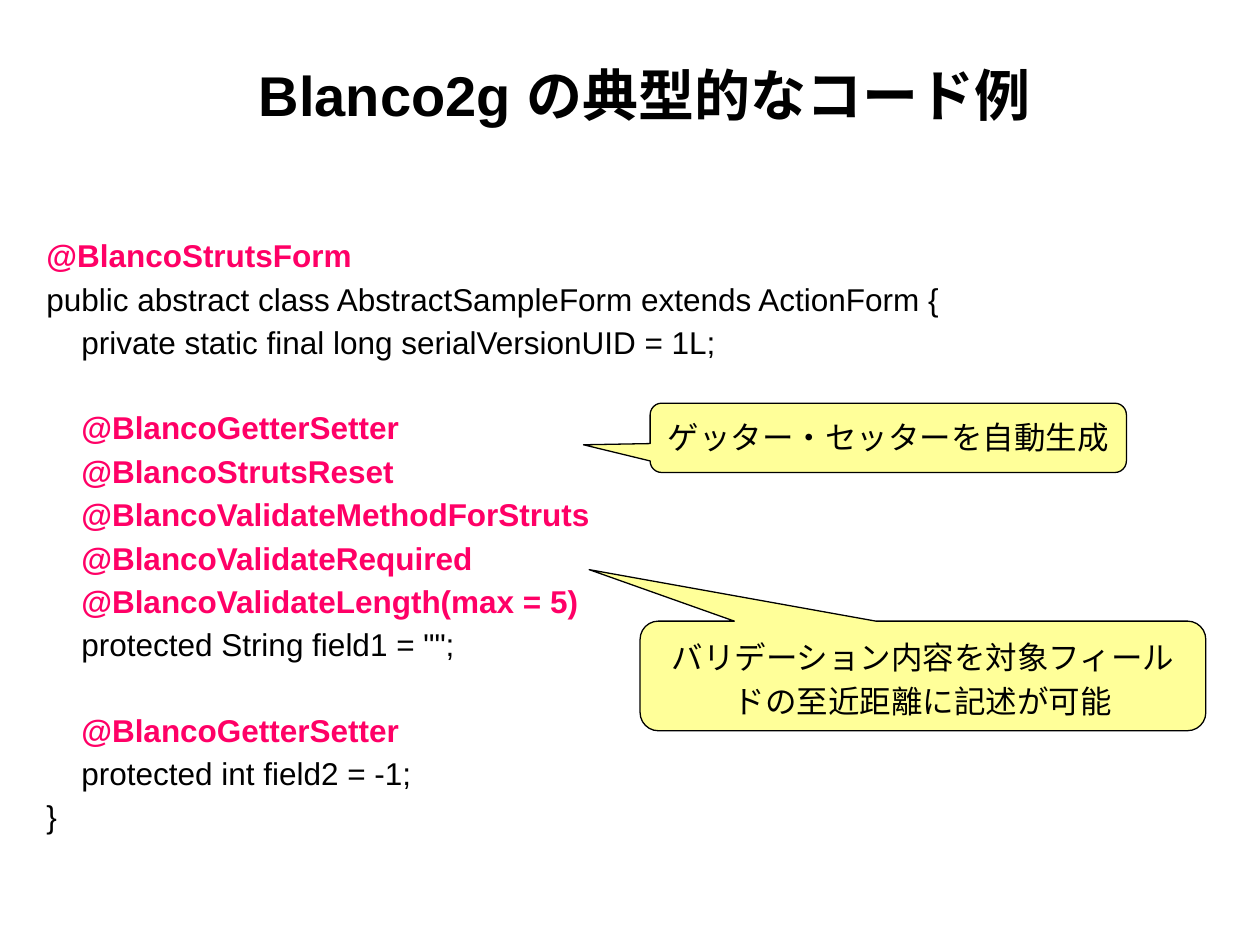
from dataclasses import dataclass

from pptx import Presentation
from pptx.dml.color import RGBColor
from pptx.enum.shapes import MSO_SHAPE as Shape
from pptx.enum.text import MSO_ANCHOR as Anchor, PP_ALIGN as Align
from pptx.util import Inches, Pt


@dataclass(frozen=True)
class Theme:
    font: str = "Arial"
    ink: str = "000000"
    mark: str = "FF0066"
    note: str = "FFFF99"
    title: int = 32
    body: int = 18
    lead: float = 1.15
    gap: float = 23.8
    edge: float = 0.75


THEME = Theme()

CODE = '''@BlancoStrutsForm
public abstract class AbstractSampleForm extends ActionForm {
    private static final long serialVersionUID = 1L;

    @BlancoGetterSetter
    @BlancoStrutsReset
    @BlancoValidateMethodForStruts
    @BlancoValidateRequired
    @BlancoValidateLength(max = 5)
    protected String field1 = "";

    @BlancoGetterSetter
    protected int field2 = -1;
}'''

NOTES = [
    ("ゲッター・セッターを自動生成", (5.16, 3.2, 3.78, 0.55), (-0.64, 0.1)),
    ("バリデーション内容を対象フィールドの至近距離に記述が可能",
     (5.08, 4.93, 4.49, 0.87), (-0.59, -0.97)),
]


def write(para, text, size=THEME.body, color=THEME.ink, bold=False,
          align=Align.LEFT, before=0):
    para.alignment = align
    para.line_spacing = THEME.lead
    para.space_before = Pt(before)
    run = para.add_run()
    run.text = text
    font = run.font
    font.name, font.size, font.bold = THEME.font, Pt(size), bold
    font.color.rgb = RGBColor.from_string(color)


def add_box(slide, place, anchor=Anchor.TOP):
    frame = slide.shapes.add_textbox(*map(Inches, place)).text_frame
    frame.word_wrap = True
    frame.vertical_anchor = anchor
    return frame


def add_title(slide, text):
    frame = add_box(slide, (0.98, 0.2, 8.28, 1.02), Anchor.MIDDLE)
    write(frame.paragraphs[0], text, size=THEME.title, bold=True,
          align=Align.CENTER)


def add_code(slide, code):
    """Set one paragraph a line; annotations stand out, empty lines are gaps."""
    frame = add_box(slide, (0.27, 1.78, 9.53, 5.05))
    para, gap = frame.paragraphs[0], 0
    for line in code.splitlines():
        if not line:
            gap = THEME.gap
            continue
        para = para or frame.add_paragraph()
        mark = line.lstrip().startswith("@")
        write(para, line, color=THEME.mark if mark else THEME.ink,
              bold=mark, before=gap)
        para, gap = None, 0


def add_note(slide, text, place, tip):
    """Add a callout whose tip is given as shares of its size from its centre."""
    note = slide.shapes.add_shape(Shape.ROUNDED_RECTANGULAR_CALLOUT,
                                  *map(Inches, place))
    note.adjustments[0], note.adjustments[1] = tip
    note.shadow.inherit = False
    note.fill.solid()
    note.fill.fore_color.rgb = RGBColor.from_string(THEME.note)
    note.line.color.rgb = RGBColor.from_string(THEME.ink)
    note.line.width = Pt(THEME.edge)
    frame = note.text_frame
    frame.word_wrap = True
    frame.vertical_anchor = Anchor.TOP
    write(frame.paragraphs[0], text, align=Align.CENTER)


def main():
    deck = Presentation()
    deck.slide_width, deck.slide_height = Inches(10), Inches(7.5)
    slide = deck.slides.add_slide(deck.slide_layouts[6])
    add_title(slide, "Blanco2g の典型的なコード例")
    add_code(slide, CODE)
    for text, place, tip in NOTES:
        add_note(slide, text, place, tip)
    deck.save("out.pptx")


if __name__ == "__main__":
    main()
